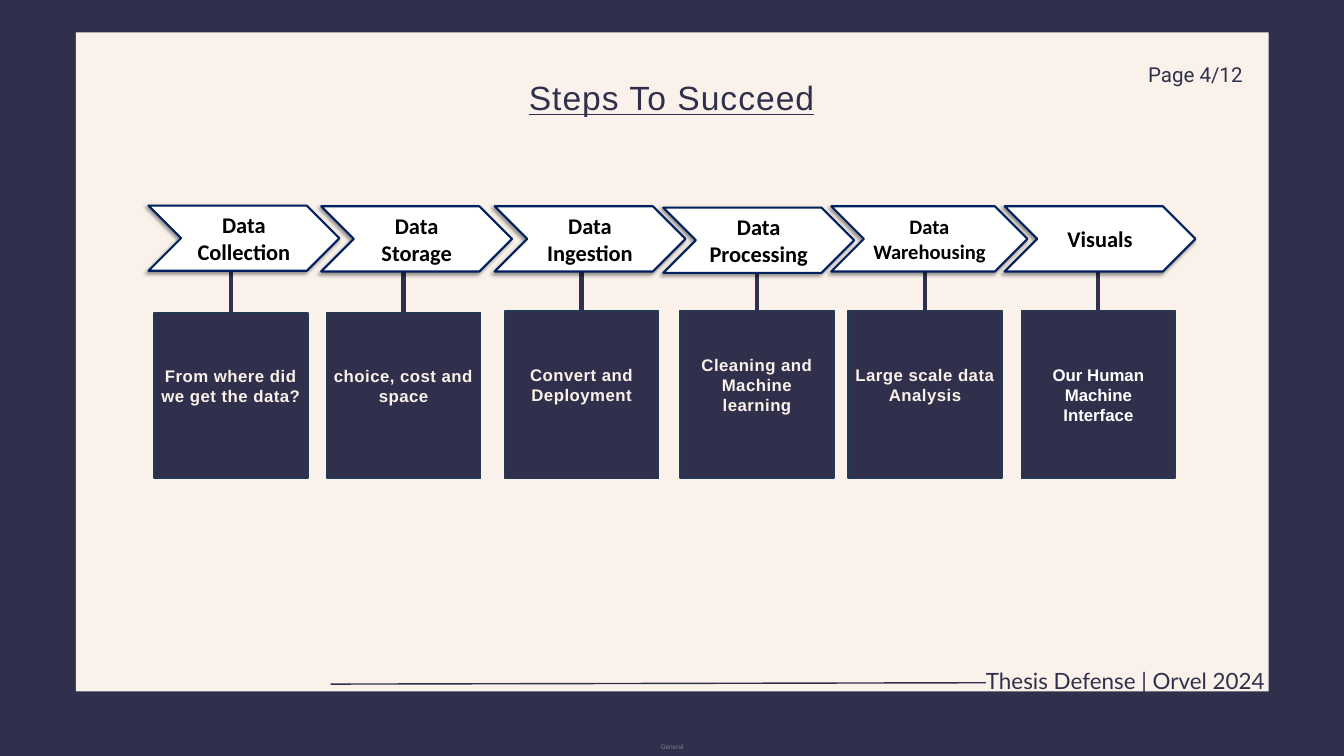
"""Build the six-step process slide of a thesis defense."""
from dataclasses import dataclass

from lxml import etree
from pptx import Presentation
from pptx.dml.color import RGBColor
from pptx.enum.shapes import MSO_CONNECTOR, MSO_SHAPE
from pptx.enum.text import MSO_ANCHOR, PP_ALIGN
from pptx.oxml.ns import qn
from pptx.util import Inches, Pt

CENTER, LEFT, RIGHT = PP_ALIGN.CENTER, PP_ALIGN.LEFT, PP_ALIGN.RIGHT
TOP, MIDDLE = MSO_ANCHOR.TOP, MSO_ANCHOR.MIDDLE
RECTANGLE, CHEVRON = MSO_SHAPE.RECTANGLE, MSO_SHAPE.CHEVRON
STRAIGHT = MSO_CONNECTOR.STRAIGHT

COLORS = {
    "navy": "30304C",
    "cream": "FAF2EA",
    "box_edge": "233953",
    "arrow_edge": "002060",
    "white": "FFFFFF",
    "black": "000000",
    "gray": "7F7F7F",
}
BOX_WIDTH, BOX_BOTTOM = 2.29, 7.12
ARROW_HEIGHT = 0.97


@dataclass(frozen=True)
class Style:
    font: str
    size: float
    color: str
    bold: bool = False
    underline: bool = False
    spacing: float = 0
    align: PP_ALIGN = CENTER
    line: float | None = None


@dataclass(frozen=True)
class Step:
    name: str
    detail: str
    arrow_left: float
    arrow_top: float
    box_left: float
    box_top: float
    arrow_width: float = 2.84
    name_size: float = 24
    detail_style: Style = Style("Arial", 18, "cream", bold=True, spacing=0.5)
    bottom_inset: float = 0.34


@dataclass(frozen=True)
class Label:
    text: str
    left: float
    top: float
    width: float
    height: float
    style: Style


STEPS = [
    Step("Data\nCollection", "From where did we get the data?", 2.21, 3.06, 2.29, 4.66),
    Step("Data\nStorage", "choice, cost and space", 4.78, 3.07, 4.86, 4.65),
    Step("Data\nIngestion", "Convert and Deployment", 7.36, 3.07, 7.51, 4.63),
    Step("Data\nProcessing", "Cleaning and Machine learning", 9.87, 3.09, 10.12, 4.62),
    Step("Data\nWarehousing", "Large scale data Analysis", 12.37, 3.07, 12.62, 4.62,
         arrow_width=2.92, name_size=22),
    Step("Visuals", "Our Human Machine Interface", 14.95, 3.07, 15.2, 4.62,
         detail_style=Style("Arial", 18, "white", bold=True), bottom_inset=0.05),
]
LABELS = [
    Label("General", 9.83, 11.06, 0.37, 0.12, Style("Arial", 7, "gray", align=LEFT)),
    Label("Page 4/12", 16.57, 0.86, 1.92, 0.4,
          Style("Roboto", 22, "navy", align=RIGHT, line=30.8)),
    Label("Thesis Defense | Orvel 2024", 13.92, 10.01, 4.9, 0.34,
          Style("Lato", 24, "navy", align=RIGHT, line=23)),
]
TITLE = Label("Steps To Succeed", 3.15, 1.15, 13.69, 0.6,
              Style("Arial", 36, "navy", underline=True, spacing=1.1, line=43.2))


def rgb(name: str) -> RGBColor:
    """Return a named color."""
    return RGBColor.from_string(COLORS[name])


def write(shape, text: str, style: Style, anchor: MSO_ANCHOR = MIDDLE) -> None:
    """Put formatted text into a shape."""
    tf = shape.text_frame
    tf.text = text
    tf.word_wrap = True
    tf.vertical_anchor = anchor
    for p in tf.paragraphs:
        p.alignment = style.align
        if style.line:
            p.line_spacing = Pt(style.line)
        for r in p.runs:
            r.font.name = style.font
            r.font.size = Pt(style.size)
            r.font.bold = style.bold
            r.font.underline = style.underline
            r.font.color.rgb = rgb(style.color)
            if style.spacing:
                r.font._element.set("spc", str(round(style.spacing * 100)))


def fill_label(shape, label: Label) -> None:
    """Place a text shape without insets and write its label."""
    shape.left, shape.top = Inches(label.left), Inches(label.top)
    shape.width, shape.height = Inches(label.width), Inches(label.height)
    tf = shape.text_frame
    tf.margin_left = tf.margin_right = tf.margin_top = tf.margin_bottom = 0
    write(shape, label.text, label.style, TOP)


def add_block(s, kind: MSO_SHAPE, left: float, top: float, width: float, height: float,
              fill: str, edge: str | None = None, weight: float = 0):
    """Add a filled shape with an optional outline."""
    sp = s.shapes.add_shape(kind, Inches(left), Inches(top), Inches(width), Inches(height))
    sp.shadow.inherit = False
    sp.fill.solid()
    sp.fill.fore_color.rgb = rgb(fill)
    if edge:
        sp.line.color.rgb = rgb(edge)
        sp.line.width = Pt(weight)
    else:
        sp.line.fill.background()
    return sp


def add_line(s, x1: float, y1: float, x2: float, y2: float, weight: float) -> None:
    """Add a plain navy line."""
    line = s.shapes.add_connector(STRAIGHT, Inches(x1), Inches(y1), Inches(x2), Inches(y2))
    line.line.color.rgb = rgb("navy")
    line.line.width = Pt(weight)
    etree.SubElement(line._element.spPr, qn("a:effectLst"))


def add_shadow(sp) -> None:
    """Give a shape a soft shadow to the lower left."""
    effects = sp._element.spPr.find(qn("a:effectLst"))
    shadow = etree.SubElement(effects, qn("a:outerShdw"), blurRad=str(Pt(4)),
                              dist=str(Pt(3)), dir=str(135 * 60000), rotWithShape="0")
    color = etree.SubElement(shadow, qn("a:srgbClr"), val=COLORS["black"])
    etree.SubElement(color, qn("a:alpha"), val="40000")


def add_box(s, step: Step) -> None:
    """Add the detail box of a step and the stem up to its arrow."""
    sp = add_block(s, RECTANGLE, step.box_left, step.box_top, BOX_WIDTH,
                   BOX_BOTTOM - step.box_top, "navy", "box_edge", 2)
    sp.text_frame.margin_bottom = Inches(step.bottom_inset)
    write(sp, step.detail, step.detail_style)
    x = step.box_left + BOX_WIDTH / 2
    add_line(s, x, step.arrow_top + ARROW_HEIGHT, x, step.box_top, 4.5)


def add_arrow(s, step: Step) -> None:
    """Add the chevron that names a step."""
    sp = add_block(s, CHEVRON, step.arrow_left, step.arrow_top, step.arrow_width,
                   ARROW_HEIGHT, "white", "arrow_edge", 2.25)
    add_shadow(sp)
    write(sp, step.name, Style("Calibri", step.name_size, "black", bold=True))


def main() -> None:
    """Build and save the slide."""
    prs = Presentation()
    prs.slide_width, prs.slide_height = Inches(20), Inches(11.25)
    s = prs.slides.add_slide(prs.slide_layouts[5])
    s.background.fill.solid()
    s.background.fill.fore_color.rgb = rgb("navy")

    add_block(s, RECTANGLE, 1.13, 0.48, 17.75, 9.81, "cream")
    title = s.shapes.title
    s.shapes._spTree.append(title._element)
    fill_label(title, TITLE)
    for label in LABELS:
        fill_label(s.shapes.add_textbox(0, 0, 0, 0), label)
    add_line(s, 4.92, 10.18, 14.67, 10.16, 1.5)

    for step in STEPS:
        add_box(s, step)
    for step in STEPS:
        add_arrow(s, step)
    prs.save("out.pptx")


if __name__ == "__main__":
    main()
